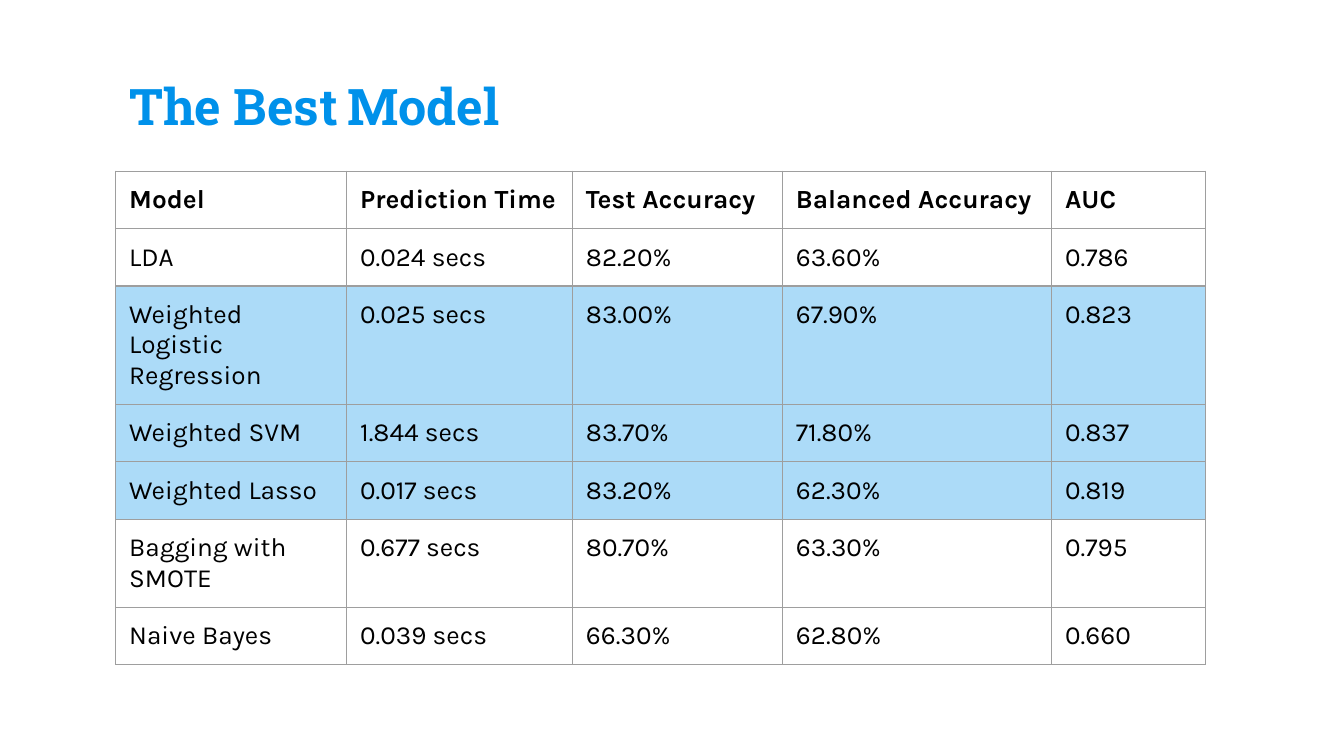
from lxml import etree
from pptx import Presentation
from pptx.dml.color import RGBColor
from pptx.enum import text
from pptx.oxml.ns import qn
from pptx.util import Pt

TITLE = [("The Best", 27, True), (" ", 20, False), ("Model", 27, True)]
HEADER = ("Model", "Prediction Time", "Test Accuracy", "Balanced Accuracy", "AUC")
MODELS = [
    ("LDA", "0.024 secs", "82.20%", "63.60%", "0.786"),
    ("Weighted Logistic Regression", "0.025 secs", "83.00%", "67.90%", "0.823"),
    ("Weighted SVM", "1.844 secs", "83.70%", "71.80%", "0.837"),
    ("Weighted Lasso", "0.017 secs", "83.20%", "62.30%", "0.819"),
    ("Bagging with SMOTE", "0.677 secs", "80.70%", "63.30%", "0.795"),
    ("Naive Bayes", "0.039 secs", "66.30%", "62.80%", "0.660"),
]
BEST_MODELS = {"Weighted Logistic Regression", "Weighted SVM", "Weighted Lasso"}

THEME = {
    "title_font": "Roboto Slab", "body_font": "Karla", "body_size": 14,
    "title": "0091EA", "ink": "000000", "highlight": "ACDBF8", "border": "9E9E9E",
}
LEFT, TABLE_TOP, INSET = 62, 91.75, 7.2
COLUMN_WIDTHS = (123.75, 121, 112.5, 144.25, 82.5)
ROW_HEIGHT, BORDER_WIDTH = 29.5, 0.75


def add_span(para, words, font, size, color, bold):
    span = para.add_run()
    span.text = words
    span.font.name = font
    span.font.size = Pt(size)
    span.font.bold = bold
    span.font.color.rgb = RGBColor.from_string(color)


def set_insets(target):
    for side in ("left", "right", "top", "bottom"):
        setattr(target, f"margin_{side}", Pt(INSET))


def add_borders(cell):
    """Put the four lines ahead of the fill, as the schema requires."""
    properties = cell._tc.get_or_add_tcPr()
    for index, side in enumerate(("lnL", "lnR", "lnT", "lnB")):
        line = etree.Element(qn(f"a:{side}"), w=str(Pt(BORDER_WIDTH)))
        fill = etree.SubElement(line, qn("a:solidFill"))
        etree.SubElement(fill, qn("a:srgbClr"), val=THEME["border"])
        properties.insert(index, line)


def add_title(page):
    box = page.shapes.title
    box.left, box.top, box.width, box.height = Pt(LEFT), Pt(24.5), Pt(596), Pt(55.5)
    frame = box.text_frame
    frame.word_wrap = True
    frame.auto_size = text.MSO_AUTO_SIZE.NONE
    frame.vertical_anchor = text.MSO_ANCHOR.BOTTOM
    set_insets(frame)
    para = frame.paragraphs[0]
    para.alignment = text.PP_ALIGN.LEFT
    for words, size, bold in TITLE:
        add_span(para, words, THEME["title_font"], size, THEME["title"], bold)


def add_model_table(page):
    rows = [HEADER] + MODELS
    table = page.shapes.add_table(
        len(rows), len(HEADER), Pt(LEFT), Pt(TABLE_TOP),
        Pt(sum(COLUMN_WIDTHS)), Pt(ROW_HEIGHT * len(rows))).table
    table.horz_banding = False
    for column, width in zip(table.columns, COLUMN_WIDTHS):
        column.width = Pt(width)
    for row, values in zip(table.rows, rows):
        row.height = Pt(ROW_HEIGHT)
        for cell, words in zip(row.cells, values):
            set_insets(cell)
            if values[0] in BEST_MODELS:
                cell.fill.solid()
                cell.fill.fore_color.rgb = RGBColor.from_string(THEME["highlight"])
            else:
                cell.fill.background()
            add_borders(cell)
            add_span(cell.text_frame.paragraphs[0], words, THEME["body_font"],
                     THEME["body_size"], THEME["ink"], values is HEADER)


def main():
    deck = Presentation()
    deck.slide_width, deck.slide_height = Pt(720), Pt(405)
    page = deck.slides.add_slide(deck.slide_layouts[5])
    add_title(page)
    add_model_table(page)
    deck.save("out.pptx")


if __name__ == "__main__":
    main()
